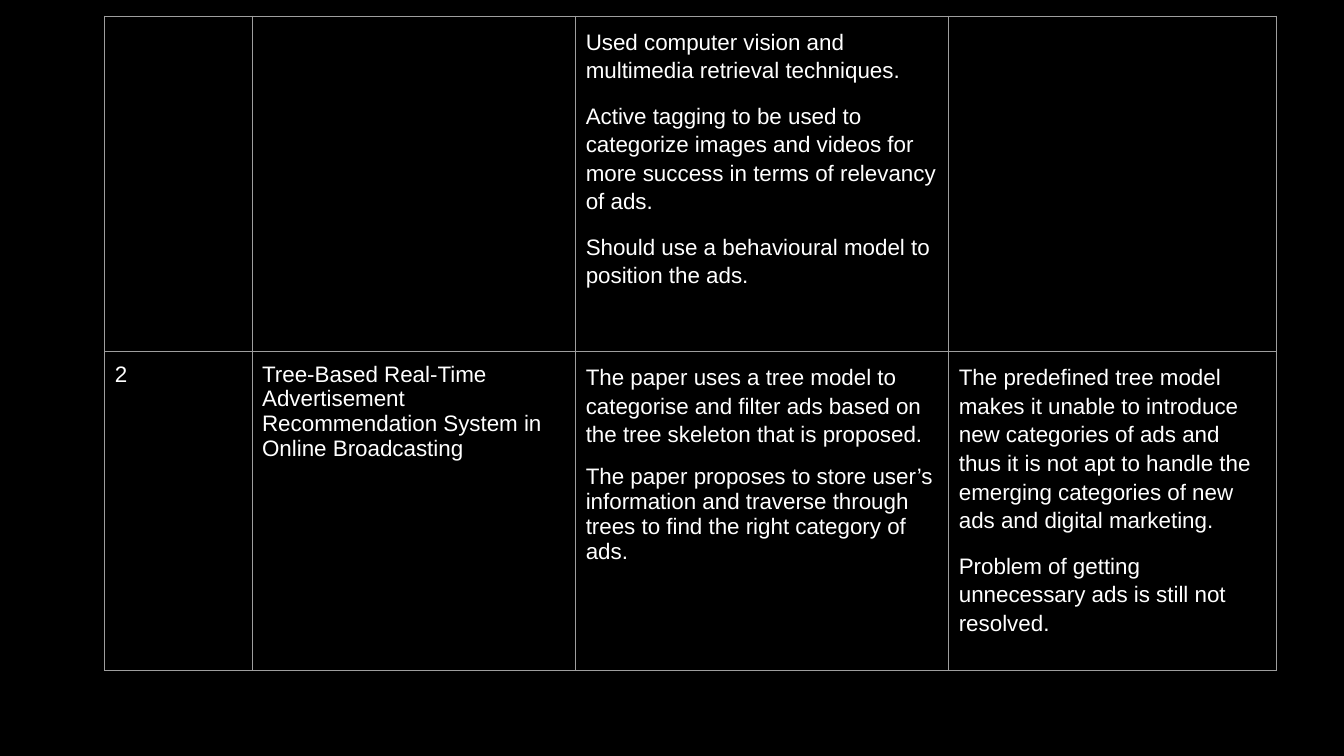
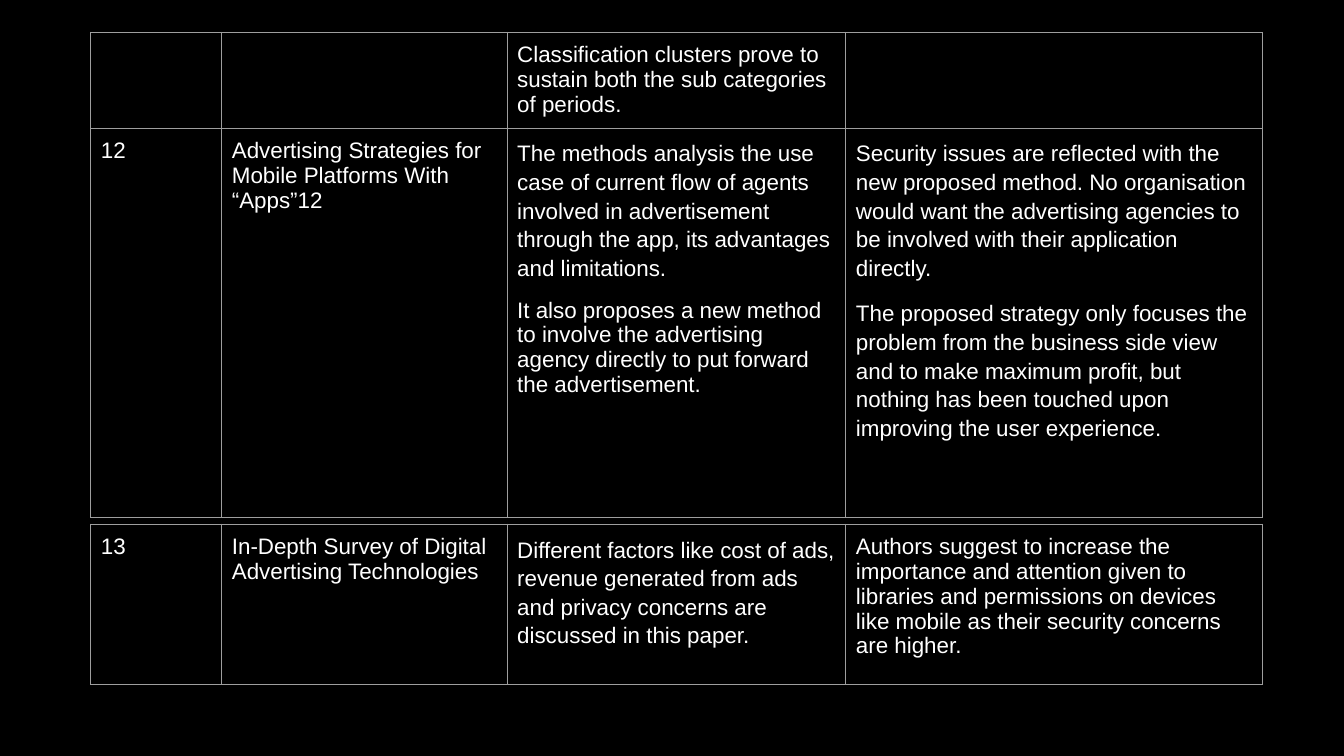
from lxml import etree
from pptx import Presentation
from pptx.dml.color import RGBColor
from pptx.oxml.ns import qn
from pptx.util import Inches, Pt

BLACK = RGBColor(0x00, 0x00, 0x00)
WHITE = RGBColor(0xFF, 0xFF, 0xFF)
GREY = RGBColor(0x9E, 0x9E, 0x9E)
FONT = "Arial"
TEXT_SIZE = Pt(16)
BORDER_WIDTH = Pt(0.75)
CELL_MARGIN = Inches(0.1)

# Paragraph formats
PLAIN = {}
SPACED = {"before": 12}
LOOSE = {"line": 1.15, "before": 12}
LOOSE_LAST = {"line": 1.15, "before": 12, "after": 12}

# Column widths: number, paper, findings, limitations
WIDE_FINDINGS = [1.46, 3.21, 3.7, 3.25]
WIDE_LIMITS = [1.3, 2.83, 3.36, 4.13]

# Each page is a list of tables; each cell is a list of (text, format) pairs.
PAGES = [
    [
        {
            "left": 1.04, "top": 0.16, "columns": WIDE_FINDINGS, "rows": [3.33, 3.16],
            "cells": [
                [
                    [],
                    [],
                    [("Used computer vision and multimedia retrieval techniques.", LOOSE),
                     ("Active tagging to be used to categorize images and videos for more "
                      "success in terms of relevancy of ads.", LOOSE),
                     ("Should use a behavioural model to position the ads.", LOOSE_LAST)],
                    [],
                ],
                [
                    [("2", PLAIN)],
                    [("Tree-Based Real-Time Advertisement Recommendation System in "
                      "Online Broadcasting", PLAIN)],
                    [("The paper uses a tree model to categorise and filter ads based on "
                      "the tree skeleton that is proposed.", LOOSE),
                     ("The paper proposes to store user’s information and traverse through "
                      "trees to find the right category of ads.", SPACED)],
                    [("The predefined tree model makes it unable to introduce new categories "
                      "of ads and thus it is not apt to handle the emerging categories of new "
                      "ads and digital marketing.", LOOSE),
                     ("Problem of getting unnecessary ads is still not resolved.", LOOSE)],
                ],
            ],
        },
    ],
    [
        {
            "left": 0.9, "top": 0.32, "columns": WIDE_LIMITS, "rows": [0.95, 3.86],
            "cells": [
                [
                    [],
                    [],
                    [("Classification clusters prove to sustain both the sub categories "
                      "of periods.", PLAIN)],
                    [],
                ],
                [
                    [("12", PLAIN)],
                    [("Advertising Strategies for Mobile Platforms With “Apps”12", PLAIN)],
                    [("The methods analysis the use case of current flow of agents involved "
                      "in advertisement through the app, its advantages and limitations.", LOOSE),
                     ("It also proposes a new method to involve the advertising agency "
                      "directly to put forward the advertisement.", SPACED)],
                    [("Security issues are reflected with the new proposed method. No "
                      "organisation would want the advertising agencies to be involved with "
                      "their application directly.", LOOSE),
                     ("The proposed strategy only focuses the problem from the business side "
                      "view and to make maximum profit, but nothing has been touched upon "
                      "improving the user experience.", LOOSE_LAST)],
                ],
            ],
        },
        {
            "left": 0.9, "top": 5.2, "columns": WIDE_LIMITS, "rows": [1.59],
            "cells": [
                [
                    [("13", PLAIN)],
                    [("In-Depth Survey of Digital Advertising Technologies", PLAIN)],
                    [("Different factors like cost of ads, revenue generated from ads and "
                      "privacy concerns are discussed in this paper.", LOOSE)],
                    [("Authors suggest to increase the importance and attention given to "
                      "libraries and permissions on devices like mobile as their security "
                      "concerns are higher.", PLAIN)],
                ],
            ],
        },
    ],
]


def write_paragraph(para, text, line=1.0, before=0, after=0):
    para.line_spacing = line
    para.space_before = Pt(before)
    para.space_after = Pt(after)
    span = para.add_run()
    span.text = text
    span.font.name = FONT
    span.font.size = TEXT_SIZE
    span.font.color.rgb = WHITE


def style_cell(cell):
    """Give the cell even margins, a thin border on every side and no fill."""
    cell.margin_left = cell.margin_right = CELL_MARGIN
    cell.margin_top = cell.margin_bottom = CELL_MARGIN
    properties = cell._tc.get_or_add_tcPr()
    for side in ("a:lnL", "a:lnR", "a:lnT", "a:lnB"):
        border = etree.SubElement(properties, qn(side), w=str(BORDER_WIDTH))
        fill = etree.SubElement(border, qn("a:solidFill"))
        etree.SubElement(fill, qn("a:srgbClr"), val=str(GREY))
    cell.fill.background()


deck = Presentation()
deck.slide_width = Inches(13.33)
deck.slide_height = Inches(7.5)
backdrop = deck.slide_master.background.fill
backdrop.solid()
backdrop.fore_color.rgb = BLACK
blank_layout = deck.slide_layouts[6]

for page_tables in PAGES:
    page = deck.slides.add_slide(blank_layout)
    for content in page_tables:
        columns, rows = content["columns"], content["rows"]
        table = page.shapes.add_table(
            len(rows), len(columns), Inches(content["left"]), Inches(content["top"]),
            Inches(sum(columns)), Inches(sum(rows))).table
        table.first_row = False
        table.horz_banding = False
        for column, width in zip(table.columns, columns):
            column.width = Inches(width)
        for row, height, row_cells in zip(table.rows, rows, content["cells"]):
            row.height = Inches(height)
            for cell, paragraphs in zip(row.cells, row_cells):
                style_cell(cell)
                frame = cell.text_frame
                for index, (text, text_format) in enumerate(paragraphs):
                    para = frame.add_paragraph() if index else frame.paragraphs[0]
                    write_paragraph(para, text, **text_format)

deck.save("out.pptx")
